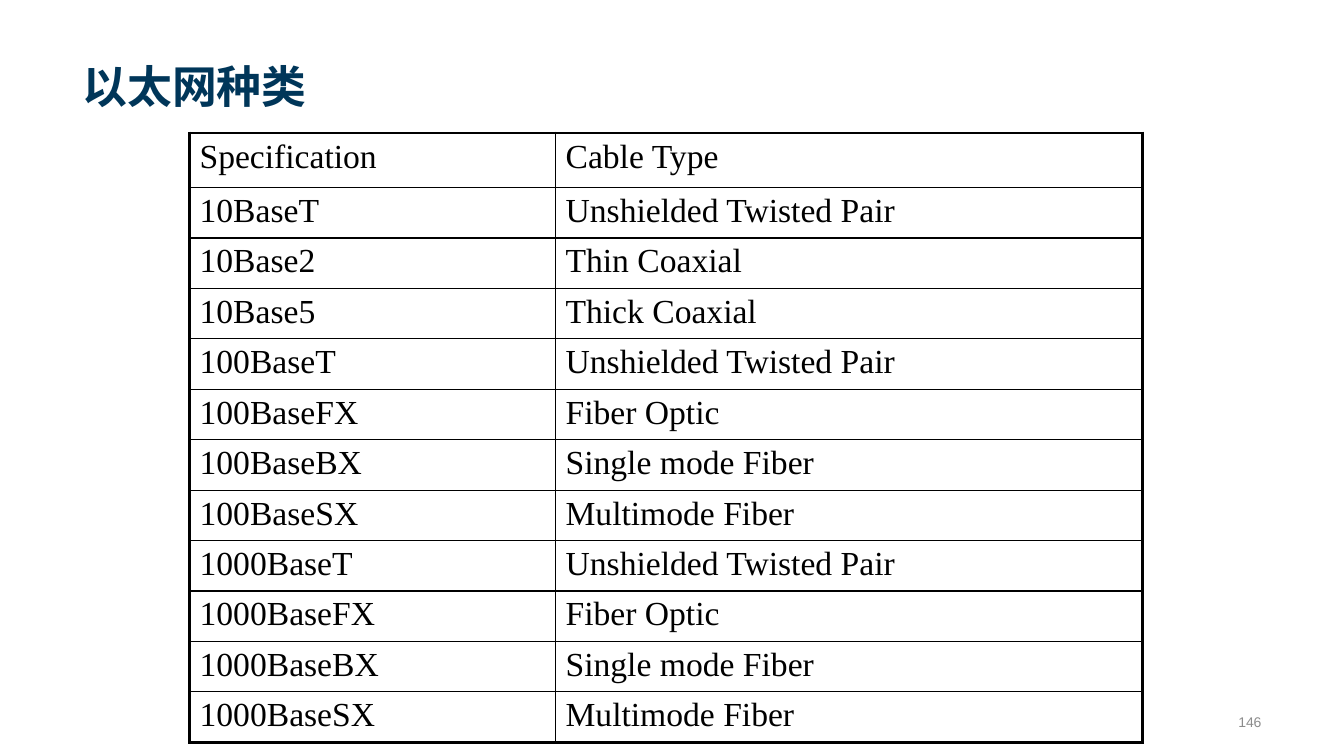
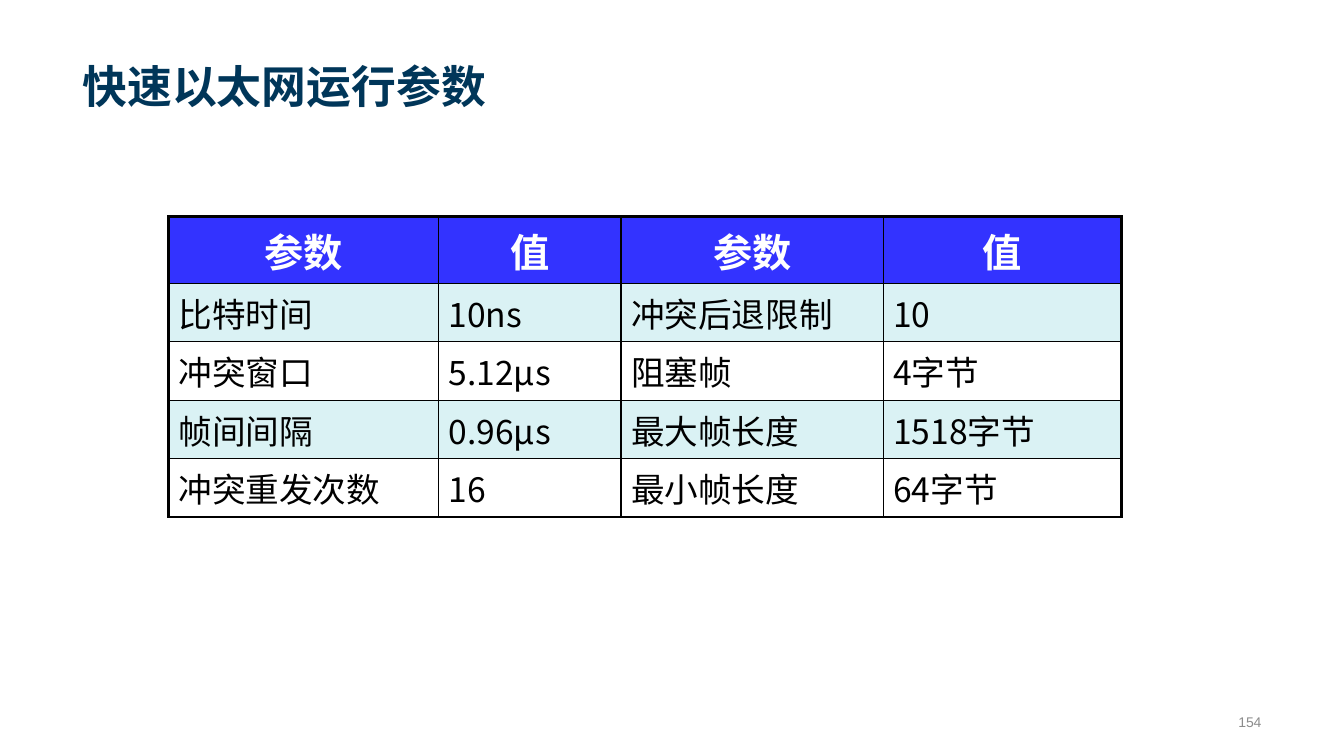
from dataclasses import dataclass

from lxml import etree
from pptx import Presentation
from pptx import util as u
from pptx.dml import color
from pptx.enum import text
from pptx.oxml import ns


@dataclass(frozen=True)
class Theme:
    title_color: str = "003659"
    number_color: str = "8C8C8C"
    ink: str = "000000"
    white: str = "FFFFFF"
    header_fill: str = "3333FF"
    band_fill: str = "DAF2F4"
    chinese: str = "Noto Sans CJK SC"
    latin: str = "Times New Roman"
    number_font: str = "Arial"
    title_size: int = 32
    header_size: int = 28
    body_size: int = 24
    number_size: int = 10
    outer_line: float = 2.25
    inner_line: float = 1


theme = Theme()
left, center, right = text.PP_ALIGN.LEFT, text.PP_ALIGN.CENTER, text.PP_ALIGN.RIGHT


def write(frame, words, size, name, ink, bold=False, align=left):
    """Fill a text frame with one styled paragraph."""
    paragraph = frame.paragraphs[0]
    paragraph.text = words
    paragraph.alignment = align
    font = paragraph.font
    font.size = u.Pt(size)
    font.bold = bold
    font.color.rgb = color.RGBColor.from_string(ink)
    font.name = name
    etree.SubElement(font._element, ns.qn("a:ea"), typeface=name)


def set_borders(cell, widths):
    """Draw the sides of a cell; widths maps L, R, T, B to points."""
    properties = cell._tc.get_or_add_tcPr()
    for side in "LRTB":
        line = etree.SubElement(properties, ns.qn(f"a:ln{side}"), w=str(u.Pt(widths[side])))
        fill = etree.SubElement(line, ns.qn("a:solidFill"))
        etree.SubElement(fill, ns.qn("a:srgbClr"), val=theme.ink)


# Content
pages = [
    {
        "title": "以太网种类",
        "number": "146",
        "origin": (1.88, 1.32),
        "columns": [3.63, 5.82],
        "header_height": 0.54,
        "row_height": 0.5,
        "font": theme.latin,
        "colored": False,
        "rows": [
            ("Specification", "Cable Type"),
            ("10BaseT", "Unshielded Twisted Pair"),
            ("10Base2", "Thin Coaxial"),
            ("10Base5", "Thick Coaxial"),
            ("100BaseT", "Unshielded Twisted Pair"),
            ("100BaseFX", "Fiber Optic"),
            ("100BaseBX", "Single mode Fiber"),
            ("100BaseSX", "Multimode Fiber"),
            ("1000BaseT", "Unshielded Twisted Pair"),
            ("1000BaseFX", "Fiber Optic"),
            ("1000BaseBX", "Single mode Fiber"),
            ("1000BaseSX", "Multimode Fiber"),
        ],
    },
    {
        "title": "快速以太网运行参数",
        "number": "154",
        "origin": (1.67, 2.15),
        "columns": [2.68, 1.81, 2.6, 2.36],
        "header_height": 0.66,
        "row_height": 0.58,
        "font": theme.chinese,
        "colored": True,
        "rows": [
            ("参数", "值", "参数", "值"),
            ("比特时间", "10ns", "冲突后退限制", "10"),
            ("冲突窗口", "5.12μs", "阻塞帧", "4字节"),
            ("帧间间隔", "0.96μs", "最大帧长度", "1518字节"),
            ("冲突重发次数", "16", "最小帧长度", "64字节"),
        ],
    },
]

presentation = Presentation()
presentation.slide_width = u.Inches(13.33)
presentation.slide_height = u.Inches(7.5)

for page in pages:
    slide = presentation.slides.add_slide(presentation.slide_layouts[6])

    # Title
    title = slide.shapes.add_textbox(u.Inches(0.72), u.Inches(0.14), u.Inches(11.88), u.Inches(0.98))
    title.text_frame.word_wrap = True
    title.text_frame.vertical_anchor = text.MSO_ANCHOR.BOTTOM
    title.text_frame.margin_bottom = 0
    write(title.text_frame, page["title"], theme.title_size, theme.chinese, theme.title_color, bold=True)

    # Slide number
    number = slide.shapes.add_textbox(u.Inches(11.73), u.Inches(7.01), u.Inches(0.88), u.Inches(0.3))
    number.text_frame.word_wrap = True
    number.text_frame.vertical_anchor = text.MSO_ANCHOR.MIDDLE
    write(number.text_frame, page["number"], theme.number_size, theme.number_font,
          theme.number_color, align=right)

    # Table grid
    rows, columns = page["rows"], page["columns"]
    heights = [page["header_height"]] + [page["row_height"]] * (len(rows) - 1)
    x, y = page["origin"]
    table = slide.shapes.add_table(len(rows), len(columns), u.Inches(x), u.Inches(y),
                                   u.Inches(sum(columns)), u.Inches(sum(heights))).table
    table.first_row = table.horz_banding = False
    for column, width in zip(table.columns, columns):
        column.width = u.Inches(width)
    for row, height in zip(table.rows, heights):
        row.height = u.Inches(height)

    # Table cells, with a heavier outer frame
    for i, values in enumerate(rows):
        for j, value in enumerate(values):
            cell = table.cell(i, j)
            on_edge = {"L": j == 0, "R": j == len(columns) - 1, "T": i == 0, "B": i == len(rows) - 1}
            set_borders(cell, {side: theme.outer_line if edge else theme.inner_line
                               for side, edge in on_edge.items()})
            is_header = page["colored"] and i == 0
            if is_header or (page["colored"] and i % 2):
                cell.fill.solid()
                fill = theme.header_fill if is_header else theme.band_fill
                cell.fill.fore_color.rgb = color.RGBColor.from_string(fill)
            else:
                cell.fill.background()
            if is_header:
                write(cell.text_frame, value, theme.header_size, page["font"], theme.white,
                      bold=True, align=center)
            else:
                write(cell.text_frame, value, theme.body_size, page["font"], theme.ink)

presentation.save("out.pptx")
